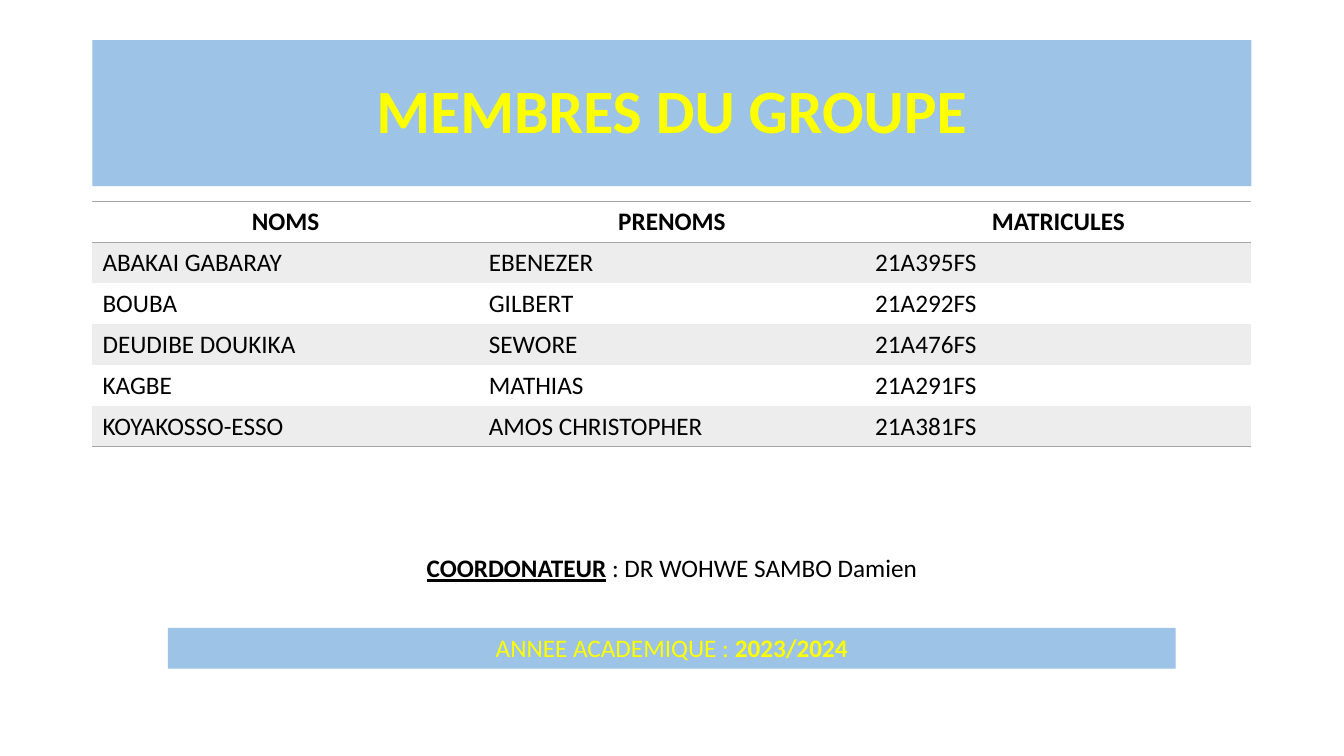
from lxml import etree
from pptx import Presentation
from pptx.dml.color import RGBColor
from pptx.enum.shapes import MSO_SHAPE
from pptx.enum.text import MSO_ANCHOR, PP_ALIGN
from pptx.oxml.ns import qn
from pptx.util import Cm, Pt

RECTANGLE = MSO_SHAPE.RECTANGLE
MIDDLE, TOP = MSO_ANCHOR.MIDDLE, MSO_ANCHOR.TOP
CENTER, LEFT = PP_ALIGN.CENTER, PP_ALIGN.LEFT

BLUE, YELLOW, BLACK = "9DC3E6", "FFFF00", "000000"
RULE_GREY, BAND_GREY = "A5A5A5", "EDEDED"

MARGIN, CONTENT_WIDTH = 2.33, 29.21
ROW_HEIGHT = 1.03

HEADINGS = ["NOMS", "PRENOMS", "MATRICULES"]
MEMBERS = [
    ["ABAKAI GABARAY", "EBENEZER", "21A395FS"],
    ["BOUBA", "GILBERT", "21A292FS"],
    ["DEUDIBE DOUKIKA", "SEWORE", "21A476FS"],
    ["KAGBE", "MATHIAS", "21A291FS"],
    ["KOYAKOSSO-ESSO", "AMOS CHRISTOPHER", "21A381FS"],
]


def color(hex_code):
    return RGBColor.from_string(hex_code)


class SlideBuilder:
    def __init__(self, page, font="Calibri", size=18):
        self.page = page
        self.font = font
        self.size = size

    def add_spans(self, frame, spans, ink=BLACK, size=None, align=CENTER):
        """Fill the first paragraph with (text, bold, underline) spans."""
        para = frame.paragraphs[0]
        para.alignment = align
        for text, bold, underline in spans:
            span = para.add_run()
            span.text = text
            span.font.name = self.font
            span.font.size = Pt(size or self.size)
            span.font.bold = bold
            span.font.underline = underline
            span.font.color.rgb = color(ink)
        return para

    def banner(self, left, top, width, height, spans, size=None, anchor=TOP):
        box = self.page.shapes.add_shape(
            RECTANGLE, Cm(left), Cm(top), Cm(width), Cm(height))
        box.shadow.inherit = False
        box.fill.solid()
        box.fill.fore_color.rgb = color(BLUE)
        box.line.fill.background()
        box.text_frame.word_wrap = True
        box.text_frame.vertical_anchor = anchor
        return self.add_spans(box.text_frame, spans, YELLOW, size)

    def label(self, left, top, width, height, spans):
        box = self.page.shapes.add_textbox(
            Cm(left), Cm(top), Cm(width), Cm(height))
        box.text_frame.word_wrap = True
        self.add_spans(box.text_frame, spans)

    def edge(self, cell, side, ruled):
        line = etree.SubElement(
            cell._tc.get_or_add_tcPr(), qn(f"a:ln{side}"), w=str(Pt(1)))
        if ruled:
            fill = etree.SubElement(line, qn("a:solidFill"))
            etree.SubElement(fill, qn("a:srgbClr"), val=RULE_GREY)
        else:
            etree.SubElement(line, qn("a:noFill"))

    def table(self, left, top, width, row_height, rows):
        """Draw a table ruled around its heading and at its foot."""
        columns = len(rows[0])
        grid = self.page.shapes.add_table(
            len(rows), columns, Cm(left), Cm(top),
            Cm(width), Cm(row_height * len(rows))).table
        grid.horz_banding = False
        ruled_levels = {0, 1, len(rows)}
        for column in grid.columns:
            column.width = Cm(width / columns)
        for level, values in enumerate(rows):
            grid.rows[level].height = Cm(row_height)
            heading = level == 0
            for index, value in enumerate(values):
                cell = grid.cell(level, index)
                self.edge(cell, "L", False)
                self.edge(cell, "R", False)
                self.edge(cell, "T", level in ruled_levels)
                self.edge(cell, "B", level + 1 in ruled_levels)
                if level % 2:
                    cell.fill.solid()
                    cell.fill.fore_color.rgb = color(BAND_GREY)
                else:
                    cell.fill.background()
                self.add_spans(cell.text_frame, [(value, heading, False)],
                               align=CENTER if heading else LEFT)


def main():
    deck = Presentation()
    deck.slide_width, deck.slide_height = Cm(33.87), Cm(19.05)
    builder = SlideBuilder(deck.slides.add_slide(deck.slide_layouts[6]))

    title = builder.banner(MARGIN, 1.01, CONTENT_WIDTH, 3.68,
                           [("MEMBRES DU GROUPE", True, False)], 44, MIDDLE)
    title.line_spacing = 0.9
    builder.table(MARGIN, 5.08, CONTENT_WIDTH, ROW_HEIGHT,
                  [HEADINGS] + MEMBERS)
    builder.label(MARGIN, 13.8, CONTENT_WIDTH, ROW_HEIGHT,
                  [("COORDONATEUR", True, True),
                   (" : DR WOHWE SAMBO Damien", False, False)])
    builder.banner(4.23, 15.82, 25.4, ROW_HEIGHT,
                   [("ANNEE ACADEMIQUE : ", False, False),
                    ("2023/2024", True, False)])
    deck.save("out.pptx")


if __name__ == "__main__":
    main()
